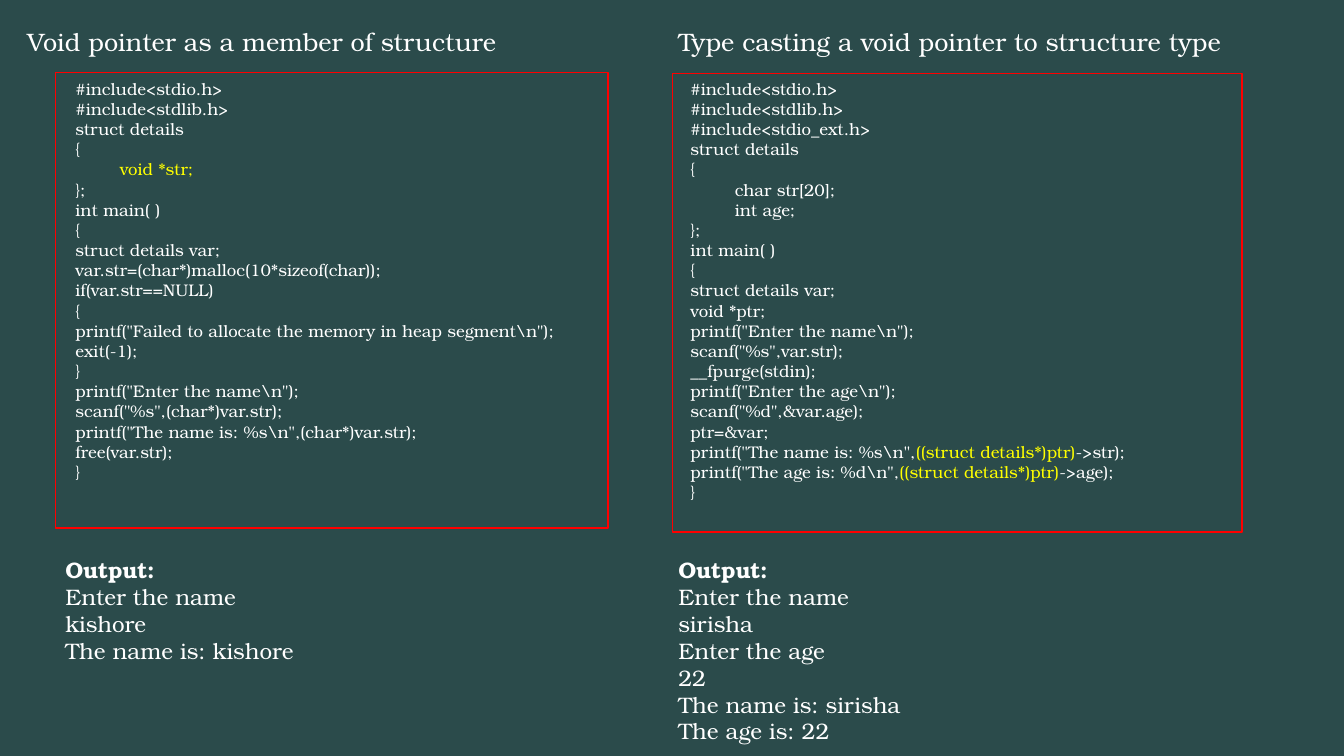
from pptx import Presentation
from pptx.dml.color import RGBColor
from pptx.enum.shapes import MSO_SHAPE
from pptx.enum.text import MSO_ANCHOR, MSO_AUTO_SIZE, PP_ALIGN
from pptx.util import Inches, Pt

RECTANGLE = MSO_SHAPE.RECTANGLE
TOP = MSO_ANCHOR.TOP
NO_AUTOFIT = MSO_AUTO_SIZE.NONE
LEFT = PP_ALIGN.LEFT

THEME = {
    "font": "TeX Gyre Bonum",
    "background": RGBColor.from_string("2B4B4B"),
    "text": RGBColor.from_string("FFFFFF"),
    "highlight": RGBColor.from_string("FFFF00"),
    "border": RGBColor.from_string("FF0000"),
    "heading_size": Pt(18),
    "output_size": Pt(16),
    "code_size": Pt(12),
    "border_width": Pt(1),
    "code_indent": Inches(0.44),
}

MEMBER_CODE = r"""#include<stdio.h>
#include<stdlib.h>
struct details
{
    |void *str;|
};
int main( )
{
struct details var;
var.str=(char*)malloc(10*sizeof(char));
if(var.str==NULL)
{
printf("Failed to allocate the memory in heap segment\n");
exit(-1);
}
printf("Enter the name\n");
scanf("%s",(char*)var.str);
printf("The name is: %s\n",(char*)var.str);
free(var.str);
}"""

CASTING_CODE = r"""#include<stdio.h>
#include<stdlib.h>
#include<stdio_ext.h>
struct details
{
    char str[20];
    int age;
};
int main( )
{
struct details var;
void *ptr;
printf("Enter the name\n");
scanf("%s",var.str);
__fpurge(stdin);
printf("Enter the age\n");
scanf("%d",&var.age);
ptr=&var;
printf("The name is: %s\n",|((struct details*)ptr)|->str);
printf("The age is: %d\n",|((struct details*)ptr)|->age);
}"""

MEMBER_OUTPUT = """Output:
Enter the name
kishore
The name is: kishore"""

CASTING_OUTPUT = """Output:
Enter the name
sirisha
Enter the age
22
The name is: sirisha
The age is: 22"""

EXAMPLES = [
    {
        "heading": ("Void pointer as a member of structure", (0.17, 0.21, 6.22, 0.4)),
        "code": (MEMBER_CODE, (0.65, 0.73, 5.84, 4.44)),
        "output": (MEMBER_OUTPUT, (0.55, 5.47, 3, 1.48)),
        "border": (0.55, 0.72, 5.48, 4.52),
    },
    {
        "heading": ("Type casting a void pointer to structure type", (6.63, 0.21, 6.22, 0.4)),
        "code": (CASTING_CODE, (6.75, 0.73, 6.48, 4.54)),
        "output": (CASTING_OUTPUT, (6.63, 5.47, 3, 2.26)),
        "border": (6.67, 0.73, 5.65, 4.55),
    },
]


def place(part, box):
    for side, length in zip(("left", "top", "width", "height"), box):
        setattr(part, side, Inches(length))


def write_lines(part, text, size):
    frame = part.text_frame
    frame_format = {"word_wrap": True, "auto_size": NO_AUTOFIT, "vertical_anchor": TOP}
    for name, value in frame_format.items():
        setattr(frame, name, value)
    for number, line in enumerate(text.split("\n")):
        paragraph = frame.add_paragraph() if number else frame.paragraphs[0]
        paragraph.alignment = LEFT
        if line.startswith(" "):
            paragraph._p.get_or_add_pPr().set("marL", str(THEME["code_indent"]))
        for position, piece in enumerate(line.strip().split("|")):
            if not piece:
                continue
            run = paragraph.add_run()
            run.text = piece
            run_format = {"name": THEME["font"], "size": size, "bold": line == "Output:"}
            for name, value in run_format.items():
                setattr(run.font, name, value)
            run.font.color.rgb = THEME["highlight" if position % 2 else "text"]


presentation = Presentation()
presentation.slide_width = Inches(13.33)
presentation.slide_height = Inches(7.5)
slide = presentation.slides.add_slide(presentation.slide_layouts[5])
slide.background.fill.solid()
slide.background.fill.fore_color.rgb = THEME["background"]

for example in EXAMPLES:
    for role in ("heading", "code", "output"):
        text, box = example[role]
        if role == "heading" and example is EXAMPLES[0]:
            part = slide.shapes.title
        else:
            part = slide.shapes.add_textbox(0, 0, 0, 0)
        place(part, box)
        write_lines(part, text, THEME[f"{role}_size"])

    border = slide.shapes.add_shape(RECTANGLE, 0, 0, 0, 0)
    place(border, example["border"])
    border.shadow.inherit = False
    border.fill.background()
    border.line.color.rgb = THEME["border"]
    border.line.width = THEME["border_width"]

presentation.save("out.pptx")
